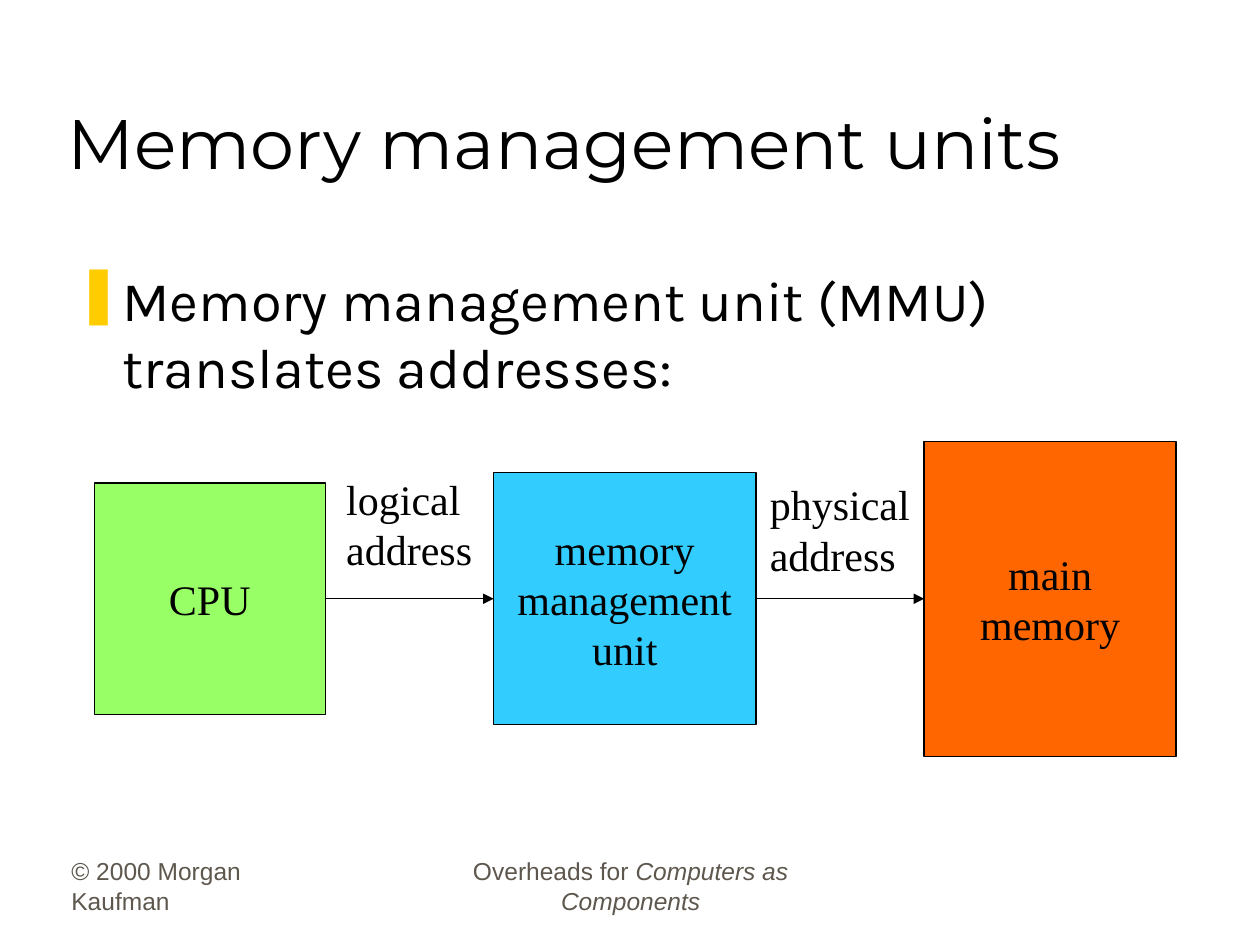
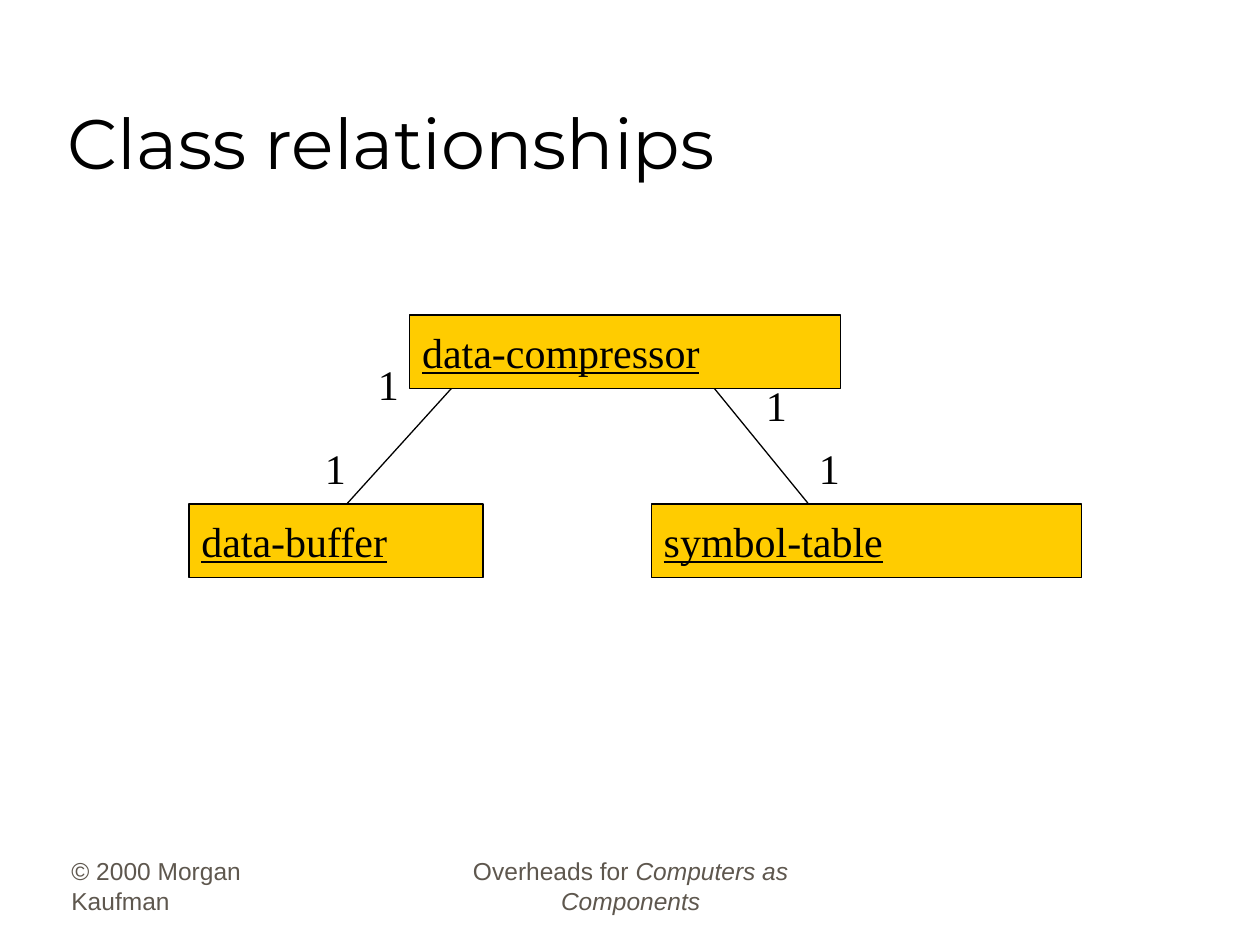
import pptx
import pptx.dml.color
import pptx.enum.shapes
import pptx.enum.text
import pptx.oxml.ns
import pptx.util
from lxml import etree

Cm = pptx.util.Cm
Pt = pptx.util.Pt
ALIGN = pptx.enum.text.PP_ALIGN
ANCHOR = pptx.enum.text.MSO_ANCHOR

BLACK, GREY, YELLOW = "000000", "5E574E", "FFCC00"
TITLE_STYLE = {"name": "Montserrat", "size": 40, "color": BLACK}
BODY_STYLE = {"name": "Karla", "size": 32, "color": BLACK}
LABEL_STYLE = {"name": "Times New Roman", "size": 24, "color": BLACK}
CLASS_STYLE = {**LABEL_STYLE, "underline": True}
FOOTER_STYLE = {"name": "Arial", "size": 14, "color": GREY}

# Areas are left, top, width, height in centimetres.
TITLE_AREA = (1.11, 0.64, 21.59, 3.18)
BODY_AREA = (1.27, 5.23, 22.71, 3.02)
FOOTERS = [
    ((1.19, 17.3, 5.29, 1.27), ALIGN.LEFT, [("© 2000 Morgan Kaufman", False)]),
    ((8.69, 17.3, 8.05, 1.27), ALIGN.CENTER,
     [("Overheads for ", False), ("Computers as Components", True)]),
]

MMU_TITLE = "Memory management units"
MMU_BULLET = "Memory management unit (MMU) translates addresses:"
UNITS = [  # lines, width, height, fill
    (["CPU"], 4.66, 4.66, "99FF66"),
    (["memory", "management", "unit"], 5.29, 5.08, "33CCFF"),
    (["main", "memory"], 5.08, 6.35, "FF6600"),
]
UNIT_LEFT, UNIT_GAP, UNIT_AXIS = 1.9, 3.39, 12.07
ADDRESSES = [  # lines, top, width; one for each gap between units
    (["logical", "address"], 9.42, 3.05),
    (["physical", "address"], 9.53, 3.33),
]
ADDRESS_HEIGHT = 2.29

CLASS_TITLE = "Class relationships"
CLASS_HEIGHT = 1.48
UPPER_ROW, LOWER_ROW = 6.35, 10.16
CLASSES = [  # name, left, top, width
    ("symbol-table", 13.13, LOWER_ROW, 8.68),
    ("data-compressor", 8.26, UPPER_ROW, 8.68),
    ("data-buffer", 3.81, LOWER_ROW, 5.93),
]
RELATIONS = [(9.1, 6.99), (14.4, 16.3)]  # x at the upper and lower class
MULTIPLICITIES = [("1", 6.3, 8.79), ("1", 7.37, 7.11), ("1", 16.26, 8.79), ("1", 15.19, 7.52)]
MULTIPLICITY_SIZE = (0.91, 1.27)


def rgb(value):
    return pptx.dml.color.RGBColor.from_string(value)


def lengths(area):
    return [Cm(value) for value in area]


def add_span(para, text, style, italic=False):
    span = para.add_run()
    span.text = text
    span.font.name = style["name"]
    span.font.size = Pt(style["size"])
    span.font.color.rgb = rgb(style["color"])
    span.font.italic = italic
    span.font.underline = style.get("underline", False)


def write_paragraphs(shape, paragraphs, style, align=ALIGN.LEFT, anchor=ANCHOR.TOP, wrap=True):
    """Fill a shape; each paragraph is a list of (text, italic) pairs."""
    frame = shape.text_frame
    frame.word_wrap = wrap
    frame.vertical_anchor = anchor
    for index, spans in enumerate(paragraphs):
        para = frame.paragraphs[0] if index == 0 else frame.add_paragraph()
        para.alignment = align
        for text, italic in spans:
            add_span(para, text, style, italic)


def plain(lines):
    return [[(line, False)] for line in lines]


def add_text(slide, area, paragraphs, style, **options):
    box = slide.shapes.add_textbox(*lengths(area))
    write_paragraphs(box, paragraphs, style, **options)
    return box


def add_box(slide, area, fill, lines, style, align):
    box = slide.shapes.add_shape(pptx.enum.shapes.MSO_SHAPE.RECTANGLE, *lengths(area))
    box.shadow.inherit = False
    box.fill.solid()
    box.fill.fore_color.rgb = rgb(fill)
    box.line.color.rgb = rgb(BLACK)
    box.line.width = Pt(0.75)
    write_paragraphs(box, plain(lines), style, align=align, anchor=ANCHOR.MIDDLE)
    return box


def add_line(slide, start=(0, 0), end=(0, 0)):
    line = slide.shapes.add_connector(
        pptx.enum.shapes.MSO_CONNECTOR.STRAIGHT, *lengths(start + end))
    line.line.color.rgb = rgb(BLACK)
    line.line.width = Pt(0.75)
    etree.SubElement(line._element.spPr, pptx.oxml.ns.qn("a:effectLst"))
    return line


def add_arrow(slide, source, target):
    arrow = add_line(slide)
    arrow.begin_connect(source, 3)
    arrow.end_connect(target, 1)
    outline = arrow.line._get_or_add_ln()
    etree.SubElement(outline, pptx.oxml.ns.qn("a:tailEnd"), type="triangle")


def add_bullet(para):
    properties = para._p.get_or_add_pPr()
    properties.set("marL", str(Cm(0.95)))
    properties.set("indent", str(Cm(-0.95)))
    color = etree.SubElement(properties, pptx.oxml.ns.qn("a:buClr"))
    etree.SubElement(color, pptx.oxml.ns.qn("a:srgbClr"), val=YELLOW)
    etree.SubElement(properties, pptx.oxml.ns.qn("a:buChar"), char="❚")


def add_page(deck, title):
    page = deck.slides.add_slide(deck.slide_layouts[5])
    heading = page.shapes.title
    heading.left, heading.top, heading.width, heading.height = lengths(TITLE_AREA)
    write_paragraphs(heading, plain([title]), TITLE_STYLE, anchor=ANCHOR.BOTTOM)
    for area, align, spans in FOOTERS:
        add_text(page, area, [spans], FOOTER_STYLE, align=align, anchor=ANCHOR.BOTTOM)
    return page


def build_mmu_page(deck):
    page = add_page(deck, MMU_TITLE)
    body = add_text(page, BODY_AREA, plain([MMU_BULLET]), BODY_STYLE)
    add_bullet(body.text_frame.paragraphs[0])

    boxes, gap_centers = [], []
    left = UNIT_LEFT
    for lines, width, height, fill in UNITS:
        area = (left, UNIT_AXIS - height / 2, width, height)
        boxes.append(add_box(page, area, fill, lines, LABEL_STYLE, ALIGN.CENTER))
        gap_centers.append(left + width + UNIT_GAP / 2)
        left += width + UNIT_GAP
    for source, target in zip(boxes, boxes[1:]):
        add_arrow(page, source, target)
    for center, (lines, top, width) in zip(gap_centers, ADDRESSES):
        area = (center - width / 2, top, width, ADDRESS_HEIGHT)
        add_text(page, area, plain(lines), LABEL_STYLE, wrap=False)


def build_class_page(deck):
    page = add_page(deck, CLASS_TITLE)
    for name, left, top, width in CLASSES:
        add_box(page, (left, top, width, CLASS_HEIGHT), YELLOW, [name], CLASS_STYLE, ALIGN.LEFT)
    for upper_x, lower_x in RELATIONS:
        add_line(page, (upper_x, UPPER_ROW + CLASS_HEIGHT), (lower_x, LOWER_ROW))
    for text, left, top in MULTIPLICITIES:
        add_text(page, (left, top) + MULTIPLICITY_SIZE, plain([text]), LABEL_STYLE, wrap=False)


def main():
    deck = pptx.Presentation()
    deck.slide_width, deck.slide_height = Cm(25.4), Cm(19.05)
    build_mmu_page(deck)
    build_class_page(deck)
    deck.save("out.pptx")


if __name__ == "__main__":
    main()
